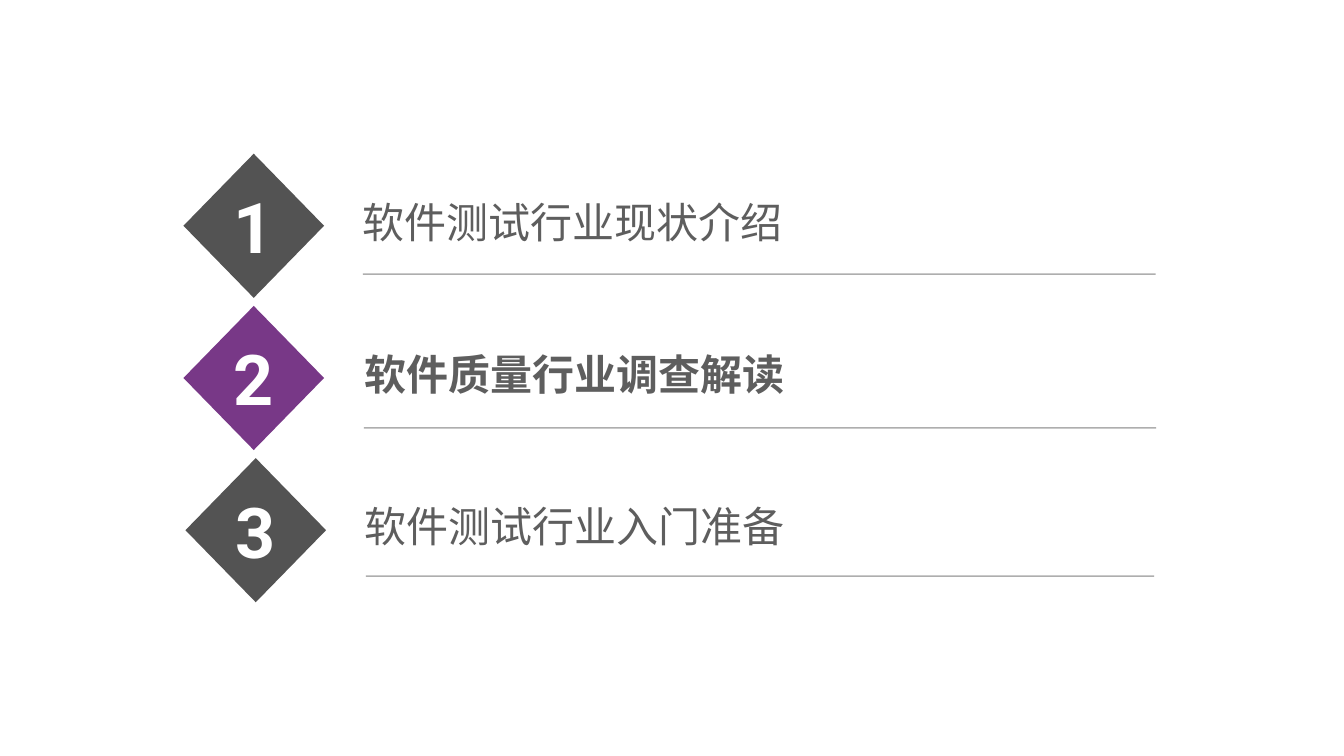
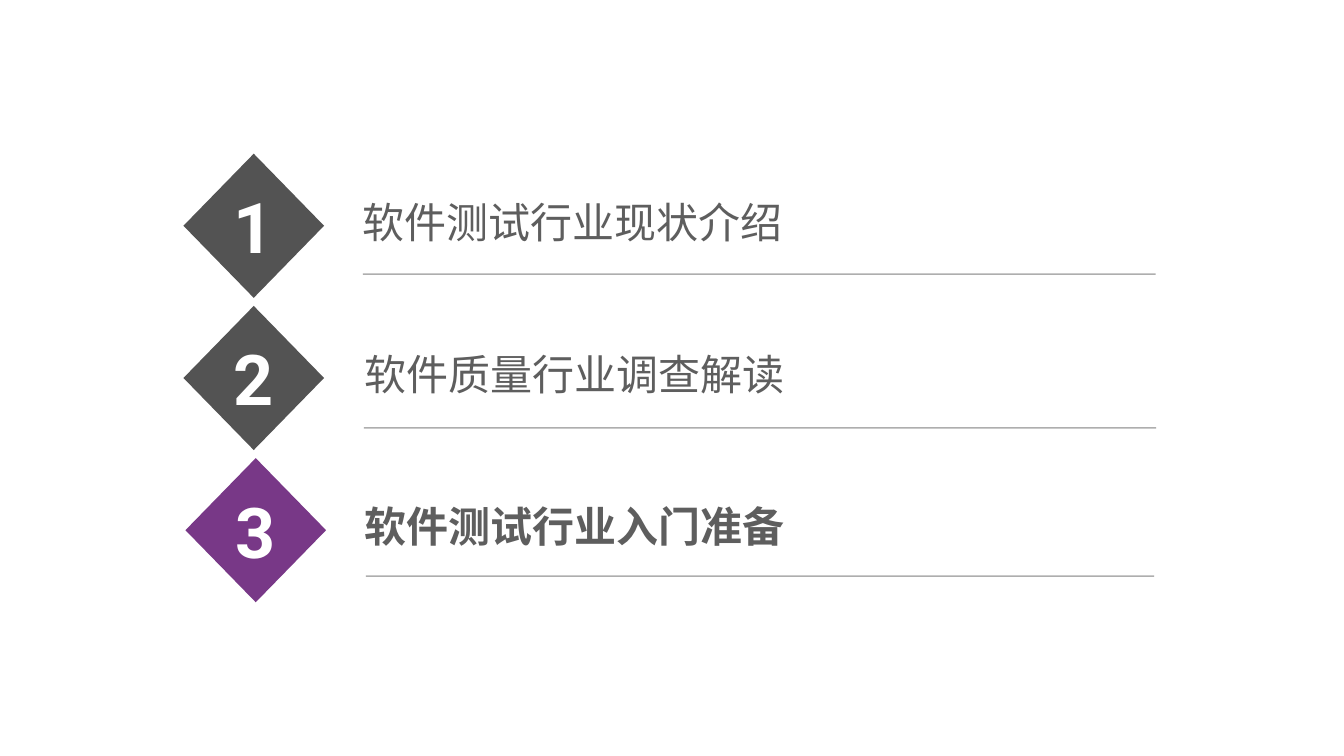
from dataclasses import dataclass

from lxml import etree
from pptx import Presentation
from pptx.dml.color import RGBColor
from pptx.enum.shapes import MSO_CONNECTOR, MSO_SHAPE
from pptx.enum.text import MSO_ANCHOR, MSO_AUTO_SIZE, PP_ALIGN
from pptx.oxml.ns import qn
from pptx.util import Inches, Pt

COLORS = {"dark": "535353", "accent": "783887", "text": "5E5E5E", "white": "FFFFFF"}
FONT = "Roboto"
FIRST_TOP, ROW_PITCH = 3.05, 3.02
DIAMOND_WIDTH, DIAMOND_HEIGHT = 2.79, 2.86
HEADING_DROP, HEADING_WIDTH, HEADING_HEIGHT = 0.75, 10.76, 1.21


@dataclass
class Chapter:
    heading: str
    diamond_left: float
    heading_left: float
    rule_left: float
    rule_right: float
    rule_y: float


CHAPTERS = [
    Chapter("软件测试行业现状介绍", 3.64, 7.09, 7.2, 22.93, 5.44),
    Chapter("软件质量行业调查解读", 3.64, 7.13, 7.22, 22.94, 8.49),
    Chapter("软件测试行业入门准备", 3.68, 7.13, 7.26, 22.9, 11.43),
]


def rgb(name):
    return RGBColor.from_string(COLORS[name])


class AgendaDeck:
    """Holds the deck's style and the slide being built."""

    def __init__(self):
        self.deck = Presentation()
        self.deck.slide_width = Inches(26.67)
        self.deck.slide_height = Inches(15)
        self.slide = None

    def new_slide(self):
        self.slide = self.deck.slides.add_slide(self.deck.slide_layouts[6])
        background = self.slide.background.fill
        background.solid()
        background.fore_color.rgb = rgb("white")

    def set_text(self, frame, text, size, color, align, bold):
        frame.word_wrap = True
        frame.margin_left = frame.margin_right = Inches(0.1)
        frame.margin_top = frame.margin_bottom = Inches(0.1)
        paragraph = frame.paragraphs[0]
        paragraph.text = text
        paragraph.alignment = align
        font = paragraph.font
        font.name, font.size, font.bold = FONT, Pt(size), bold
        font.color.rgb = rgb(color)
        defaults = paragraph._p.pPr.find(qn("a:defRPr"))
        etree.SubElement(defaults, qn("a:ea"), typeface=FONT)

    def diamond(self, number, left, top, fill):
        marker = self.slide.shapes.add_shape(
            MSO_SHAPE.DIAMOND, Inches(left), Inches(top),
            Inches(DIAMOND_WIDTH), Inches(DIAMOND_HEIGHT))
        marker.shadow.inherit = False
        marker.fill.solid()
        marker.fill.fore_color.rgb = rgb(fill)
        marker.line.fill.background()
        marker.text_frame.vertical_anchor = MSO_ANCHOR.MIDDLE
        self.set_text(marker.text_frame, str(number), 100, "white", PP_ALIGN.CENTER, True)

    def heading(self, text, left, top, bold):
        box = self.slide.shapes.add_textbox(
            Inches(left), Inches(top), Inches(HEADING_WIDTH), Inches(HEADING_HEIGHT))
        self.set_text(box.text_frame, text, 60, "text", PP_ALIGN.JUSTIFY, bold)
        box.text_frame.auto_size = MSO_AUTO_SIZE.SHAPE_TO_FIT_TEXT

    def rule(self, left, right, y):
        """Draw a half-transparent horizontal line."""
        divider = self.slide.shapes.add_connector(
            MSO_CONNECTOR.STRAIGHT, Inches(left), Inches(y), Inches(right), Inches(y))
        divider.line.width = Pt(2)
        divider.line.color.rgb = rgb("text")
        properties = divider._element.spPr
        color = properties.find(".//" + qn("a:srgbClr"))
        etree.SubElement(color, qn("a:alpha"), val="50000")
        etree.SubElement(properties, qn("a:effectLst"))

    def agenda(self, current):
        """Add the chapter list with the current chapter highlighted."""
        self.new_slide()
        for number, chapter in enumerate(CHAPTERS, start=1):
            top = FIRST_TOP + (number - 1) * ROW_PITCH
            active = number == current
            self.rule(chapter.rule_left, chapter.rule_right, chapter.rule_y)
            self.diamond(number, chapter.diamond_left, top, "accent" if active else "dark")
            self.heading(chapter.heading, chapter.heading_left, top + HEADING_DROP, active)


def main():
    agenda_deck = AgendaDeck()
    for current in (2, 3):
        agenda_deck.agenda(current)
    agenda_deck.deck.save("out.pptx")


if __name__ == "__main__":
    main()
